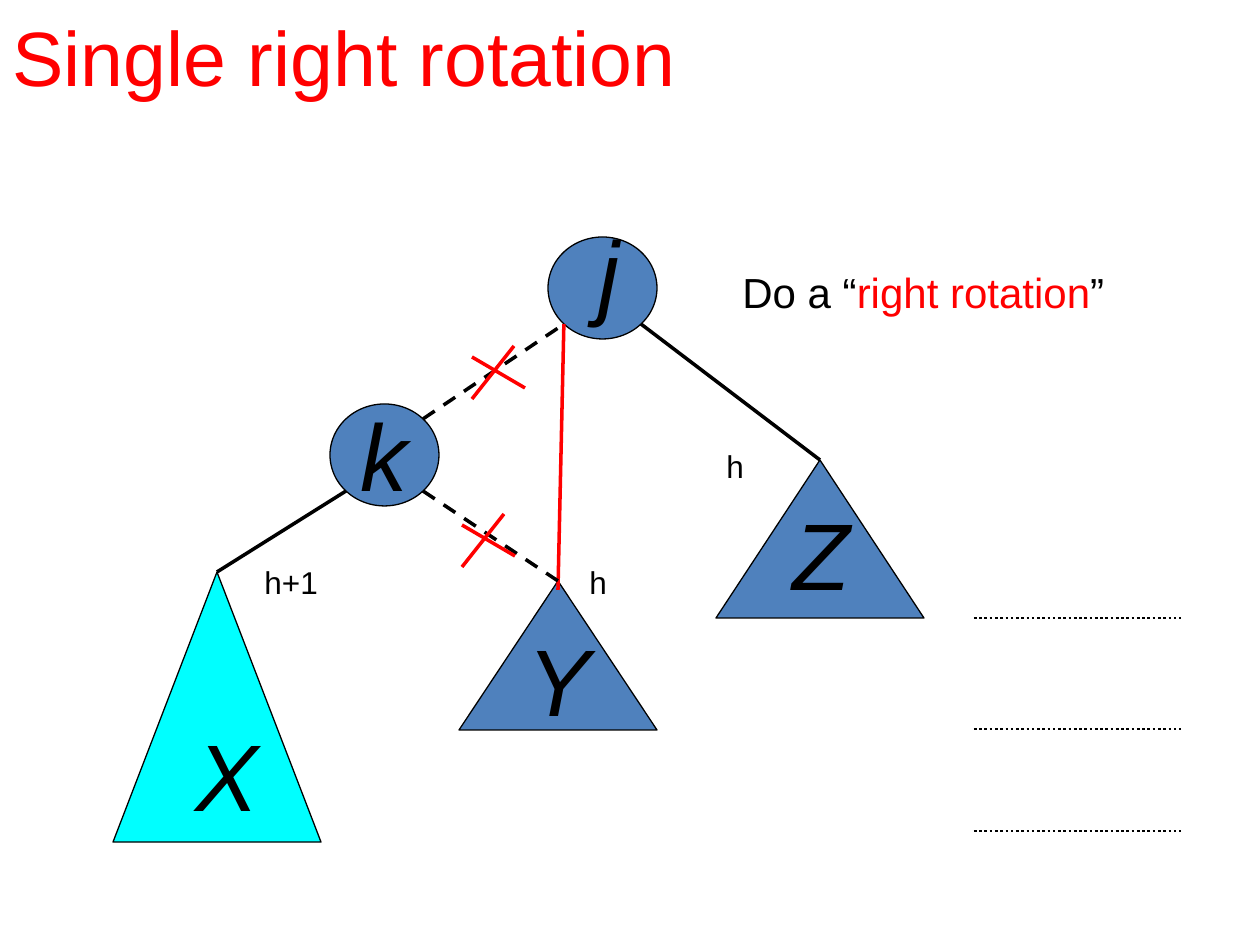
from dataclasses import dataclass

from lxml.etree import SubElement
from pptx import Presentation
from pptx.dml.color import RGBColor
from pptx.enum.dml import MSO_LINE_DASH_STYLE as Dash
from pptx.enum.shapes import MSO_CONNECTOR, MSO_SHAPE as Shape
from pptx.enum.text import MSO_ANCHOR, MSO_AUTO_SIZE, PP_ALIGN
from pptx.oxml.ns import qn
from pptx.util import Pt

PX = 914400 // 126


@dataclass(frozen=True)
class Theme:
    """Colours, font and sizes in points."""
    black: str = "000000"
    red: str = "FF0000"
    blue: str = "4F81BD"
    cyan: str = "00FFFF"
    font: str = "Arial"
    title: int = 44
    letter: int = 54
    caption: int = 24
    height: int = 18
    outline: float = 0.75
    level: float = 1.5
    edge: float = 2


T = Theme()


def emu(*pixels):
    """Turn pixels into whole EMU."""
    return [round(v * PX) for v in pixels]


def add_run(p, text, size, color=T.black, **extra):
    """Add a run with its font format."""
    r = p.add_run()
    r.text = text
    for name, value in {"name": T.font, "size": Pt(size), **extra}.items():
        setattr(r.font, name, value)
    r.font.color.rgb = RGBColor.from_string(color)


def add_text(s, box, runs, size, wrap=False, **extra):
    """Place a growing text box of (text, colour) runs; return its paragraph."""
    tf = s.shapes.add_textbox(*emu(*box)).text_frame
    tf.word_wrap = wrap
    tf.auto_size = MSO_AUTO_SIZE.SHAPE_TO_FIT_TEXT
    p = tf.paragraphs[0]
    for text, color in runs:
        add_run(p, text, size, color, **extra)
    return p


def add_letter(s, x, y, text):
    """Place a large italic letter with half a line of space before it."""
    p = add_text(s, (x, y, 67, 126), [(text, T.black)], T.letter, True, italic=True)
    before = SubElement(p._p.get_or_add_pPr(), qn("a:spcBef"))
    SubElement(before, qn("a:spcPct")).set("val", "50000")


def add_line(s, start, end, color=T.black, width=T.edge, dash=None):
    """Draw a straight line between two points."""
    line = s.shapes.add_connector(MSO_CONNECTOR.STRAIGHT, *emu(*start, *end))
    line.line.color.rgb = RGBColor.from_string(color)
    line.line.width = Pt(width)
    if dash:
        line.line.dash_style = dash
    SubElement(line._element.spPr, qn("a:effectLst"))


def add_node(s, kind, box, fill):
    """Draw an outlined node or subtree."""
    sp = s.shapes.add_shape(kind, *emu(*box))
    sp.shadow.inherit = False
    sp.fill.solid()
    sp.fill.fore_color.rgb = RGBColor.from_string(fill)
    sp.line.color.rgb = RGBColor.from_string(T.black)
    sp.line.width = Pt(T.outline)


def corner(box, side, end):
    """Give the diagonal point of an ellipse; side and end are -1 or 1."""
    x, y, w, h = box
    return x + w / 2 + side * w * 0.354, y + h / 2 + end * h * 0.354


def apex(box):
    """Give the top point of a triangle."""
    return box[0] + box[2] / 2, box[1]


def add_cross(s, x, y):
    """Strike out an edge with a red cross."""
    add_line(s, (x, y + 11), (x + 53, y + 42), T.red)
    add_line(s, (x + 42, y), (x, y + 53), T.red)


def tree(s, left, top):
    """Draw the rotating tree from its top left corner."""
    nodes = {  # kind, box, fill, letter position
        "j": (Shape.OVAL, (435, 0, 109, 102), T.blue, (473, -29)),
        "k": (Shape.OVAL, (217, 167, 109, 102), T.blue, (235, 154)),
        "X": (Shape.ISOSCELES_TRIANGLE, (0, 335, 208, 270), T.cyan, (70, 474)),
        "Y": (Shape.ISOSCELES_TRIANGLE, (346, 344, 198, 149), T.blue, (402, 379)),
        "Z": (Shape.ISOSCELES_TRIANGLE, (603, 223, 208, 158), T.blue, (667, 253)),
    }
    boxes = {}
    for name, (kind, (x, y, w, h), fill, (tx, ty)) in nodes.items():
        boxes[name] = (left + x, top + y, w, h)
        add_node(s, kind, boxes[name], fill)
        add_letter(s, left + tx, top + ty, name)

    j, k = boxes["j"], boxes["k"]
    x_top, y_top, z_top = (apex(boxes[name]) for name in "XYZ")
    add_line(s, corner(k, -1, 1), x_top)
    add_line(s, corner(j, 1, 1), z_top)
    add_line(s, corner(j, -1, 1), (y_top[0], y_top[1] + 9), T.red)
    add_line(s, corner(k, 1, -1), corner(j, -1, 1), dash=Dash.DASH)
    add_line(s, corner(k, 1, 1), y_top, dash=Dash.DASH)
    for x, y in ((359, 109), (349, 277)):
        add_cross(s, left + x, top + y)
    for text, x, y, w in (("h", 601, 204, 45), ("h+1", 139, 320, 84), ("h", 464, 320, 45)):
        add_text(s, (left + x, top + y, w, 54), [(text, T.black)], T.height)


def levels(s, left, top, width):
    """Draw the dotted lines that mark the tree levels."""
    for y in (0, 111, 213):
        add_line(s, (left, top + y), (left + width, top + y),
                 width=T.level, dash=Dash.ROUND_DOT)


def caption(s, box):
    """Write the instruction beside the tree."""
    add_text(s, box, [("Do a “", T.black), ("right rotation", T.red), ("”", T.black)], T.caption)


def title(s, box, text):
    """Place and format the title placeholder."""
    sp = s.shapes.title
    for name, value in zip(("left", "top", "width", "height"), emu(*box)):
        setattr(sp, name, value)
    tf = sp.text_frame
    tf.auto_size = MSO_AUTO_SIZE.NONE
    tf.vertical_anchor = MSO_ANCHOR.MIDDLE
    p = tf.paragraphs[0]
    p.alignment = PP_ALIGN.LEFT
    add_run(p, text, T.title, T.red)


prs = Presentation()
prs.slide_width, prs.slide_height = emu(1260, 945)
s = prs.slides.add_slide(prs.slide_layouts[5])
title(s, (0, 0, 1077, 111), "Single right rotation")
tree(s, 113, 237)
levels(s, 974, 618, 207)
caption(s, (730, 260, 387, 63))
prs.save("out.pptx")
